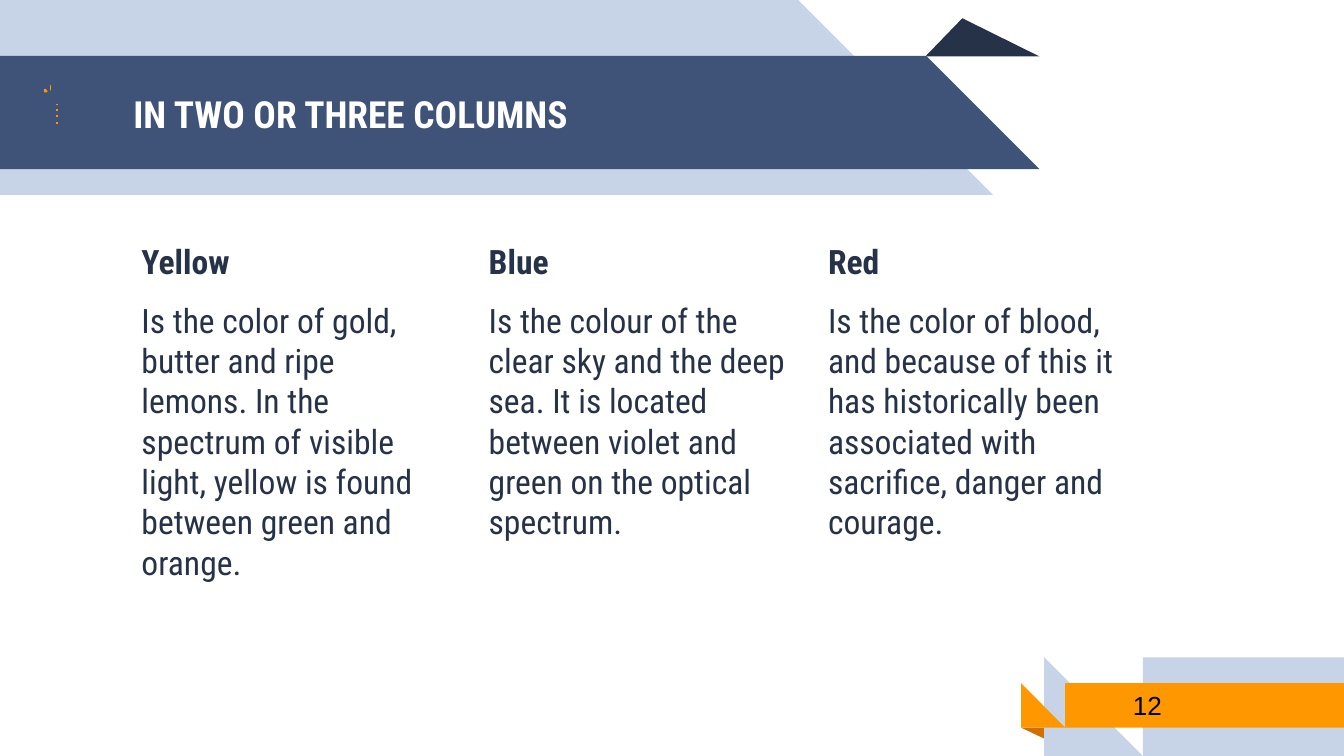
"""Build a slide with a ribbon title, three text columns and a page number."""
from lxml import etree
from pptx import Presentation
from pptx.dml.color import RGBColor
from pptx.enum.shapes import MSO_SHAPE
from pptx.enum.text import MSO_ANCHOR, MSO_AUTO_SIZE, PP_ALIGN
from pptx.oxml.ns import qn
from pptx.util import Pt

RECT = MSO_SHAPE.RECTANGLE
TRI = MSO_SHAPE.ISOSCELES_TRIANGLE
RIGHT_TRI = MSO_SHAPE.RIGHT_TRIANGLE
TOP, MIDDLE = MSO_ANCHOR.TOP, MSO_ANCHOR.MIDDLE
LEFT = PP_ALIGN.LEFT
NO_FIT = MSO_AUTO_SIZE.NONE

COLORS = {"navy": "263248", "blue": "3F5378", "pale": "C7D3E6", "orange": "FF9800",
          "brown": "D26F00", "white": "FFFFFF", "black": "000000"}
FONT = "Roboto Condensed"


def rgb(name):
    return RGBColor.from_string(COLORS[name])


def write(sp, box, anchor, paragraphs):
    sp.left, sp.top, sp.width, sp.height = map(Pt, box)
    tf = sp.text_frame
    frame = {"word_wrap": True, "auto_size": NO_FIT, "vertical_anchor": anchor,
             "margin_left": Pt(7.2), "margin_right": Pt(7.2),
             "margin_top": Pt(7.2), "margin_bottom": Pt(7.2)}
    for key, value in frame.items():
        setattr(tf, key, value)
    for i, (text, after, color, font) in enumerate(paragraphs):
        p = tf.add_paragraph() if i else tf.paragraphs[0]
        pPr = p._p.get_or_add_pPr()
        pPr.set("marL", "0")
        pPr.set("indent", "0")
        etree.SubElement(pPr, qn("a:buNone"))
        p.alignment, p.space_before, p.space_after = LEFT, Pt(0), Pt(after)
        r = p.add_run()
        r.text = text
        for key, value in font.items():
            setattr(r.font, key, value)
        r.font.color.rgb = rgb(color)


prs = Presentation()
prs.slide_width, prs.slide_height = Pt(720), Pt(405)
s = prs.slides.add_slide(prs.slide_layouts[4])
title, *bodies = s.placeholders
spare = bodies.pop()
spare._element.getparent().remove(spare._element)

ribbons = [
    (TRI, (495.8, 9.8, 61, 20.4), 0, "navy"),
    (RECT, (0, 0, 428, 104.4), 0, "pale"),
    (RIGHT_TRI, (427.6, 0, 104.4, 104.4), 0, "pale"),
    (RECT, (0, 30, 496.2, 60.6), 0, "blue"),
    (RIGHT_TRI, (496.2, 30, 60.6, 60.6), 0, "blue"),
    (TRI, (547, 389.8, 31, 10), 180, "brown"),
    (RECT, (612.2, 352.2, 107.8, 52.8), 0, "pale"),
    (RIGHT_TRI, (559.4, 352.2, 52.8, 52.8), 0, "pale"),
    (RECT, (570.6, 366, 149.4, 23.8), 0, "orange"),
    (RIGHT_TRI, (547, 366, 23.6, 23.8), 0, "orange"),
]
for kind, box, angle, color in ribbons:
    sp = s.shapes.add_shape(kind, *map(Pt, box))
    sp.shadow.inherit = False
    sp.rotation = angle
    if kind == TRI:
        sp.adjustments[0] = 0.324
    sp.fill.solid()
    sp.fill.fore_color.rgb = rgb(color)
    sp.line.fill.background()

heading = {"name": FONT, "size": Pt(18), "bold": True}
columns = [
    (68.6, "Yellow", "Is the color of gold, butter and ripe lemons. In the spectrum of visible "
     "light, yellow is found between green and orange."),
    (254.6, "Blue", "Is the colour of the clear sky and the deep sea. It is located between "
     "violet and green on the optical spectrum."),
    (436.4, "Red", "Is the color of blood, and because of this it has historically been "
     "associated with sacrifice, danger and courage."),
]
write(title, (64.2, 30.5, 414, 60.5), MIDDLE,
      [("IN TWO OR THREE COLUMNS", 0, "white", {**heading, "size": Pt(20)})])
for body, (left, name, text) in zip(bodies, columns):
    write(body, (left, 121.7, 177.1, 213.1), TOP,
          [(name, 10, "navy", heading), (text, 10, "navy", {**heading, "bold": False})])
for sp in [title, *bodies]:
    s.shapes._spTree.append(sp._element)

number = s.shapes.add_textbox(0, 0, 0, 0)
write(number, (599.8, 365.5, 117.4, 24.5), MIDDLE,
      [("12", 0, "black", {"name": "Arial", "size": Pt(14)})])

strokes = [
    ([(24.5, 47.5), (24.5, 49), (25.2, 49)], (23, 28.1)),
    ([(26.6, 46.1), (26.6, 47.5), (27.4, 47.5), (27.4, 46.1)], (22.3, 27.4)),
]
for i, width in enumerate([7.9, 15.1, 15.1, 15.1]):
    y = 65.5 - 3.1 * i
    strokes.append(([(30.2, y), (30.7, y)], (width, 0)))
strokes.append(([(43.9, 46.1), (44.1, 46.1), (44.1, 46.3)], (5, 5)))

for points, (width, height) in strokes:
    builder = s.shapes.build_freeform(*points[0], scale=Pt(1))
    builder.add_line_segments(points[1:], close=len(points) > 2)
    sp = builder.convert_to_shape()
    sp.width, sp.height = Pt(width), Pt(height)
    outline = sp._element.find(".//" + qn("a:path"))
    unit = 1 if int(outline.get("w")) < 100 else Pt(1)
    outline.set("w", str(round(width * unit)))
    outline.set("h", str(round(height * unit)))
    sp.shadow.inherit = False
    sp.fill.background()
    sp.line.color.rgb, sp.line.width = rgb("orange"), Pt(0.96)

prs.save("out.pptx")
